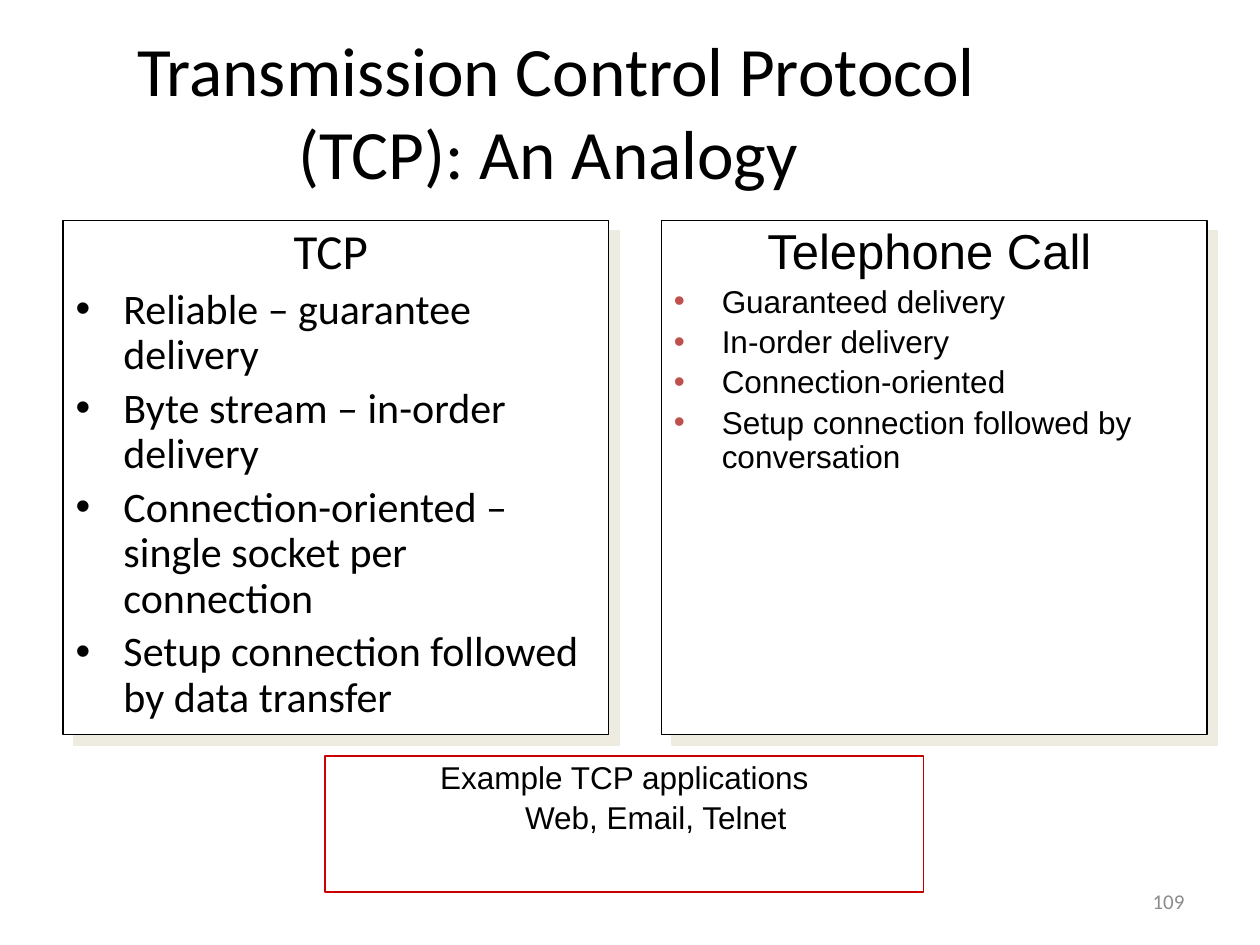
from lxml import etree
from pptx import Presentation
from pptx.dml.color import RGBColor
from pptx.enum.shapes import MSO_SHAPE
from pptx.enum.text import MSO_ANCHOR, MSO_AUTO_SIZE, PP_ALIGN
from pptx.oxml.ns import qn
from pptx.util import Inches, Pt

RECTANGLE = MSO_SHAPE.RECTANGLE
TOP, MIDDLE = MSO_ANCHOR.TOP, MSO_ANCHOR.MIDDLE
NO_AUTOFIT = MSO_AUTO_SIZE.NONE
LEFT, CENTER, RIGHT = PP_ALIGN.LEFT, PP_ALIGN.CENTER, PP_ALIGN.RIGHT

BLACK = "000000"
COLUMN_LEFTS = (0.5, 5.25)
COLUMN_TOP = 1.75
TCP_POINTS = (
    "Reliable – guarantee delivery",
    "Byte stream – in-order delivery",
    "Connection-oriented – single socket per connection",
    "Setup connection followed by data transfer",
)
CALL_POINTS = (
    "Guaranteed delivery",
    "In-order delivery",
    "Connection-oriented",
    "Setup connection followed by conversation",
)


def color(value):
    return RGBColor.from_string(value)


def place(shape, left, top, width, height):
    shape.left, shape.top = Inches(left), Inches(top)
    shape.width, shape.height = Inches(width), Inches(height)


def prepare_text(shape, anchor=TOP):
    frame = shape.text_frame
    frame.word_wrap = True
    frame.auto_size = NO_AUTOFIT
    frame.vertical_anchor = anchor
    return frame


def add_run(paragraph, text, size, font, value=BLACK):
    run = paragraph.add_run()
    run.text = text
    run.font.size = Pt(size)
    run.font.name = font
    run.font.color.rgb = color(value)


def set_bullet(properties, value):
    if value is None:
        etree.SubElement(properties, qn("a:buNone"))
        return
    bullet_color = etree.SubElement(properties, qn("a:buClr"))
    etree.SubElement(bullet_color, qn("a:srgbClr"), val=value)
    etree.SubElement(properties, qn("a:buFont"), typeface="Arial")
    etree.SubElement(properties, qn("a:buChar"), char="•")


def add_item(frame, text, size, font, alignment=LEFT, bullet=None, margin=0.38, indent=-0.38):
    first = frame.paragraphs[0]
    paragraph = frame.add_paragraph() if first.runs else first
    paragraph.alignment = alignment
    paragraph.line_spacing = 0.9
    paragraph.space_before = Pt(size * 0.2)
    properties = paragraph._p.get_or_add_pPr()
    properties.set("marL", str(Inches(margin)))
    properties.set("indent", str(Inches(indent)))
    set_bullet(properties, bullet)
    add_run(paragraph, text, size, font)
    return paragraph


def fill_column(shape, left, heading, points, size, font, bullet):
    place(shape, left, COLUMN_TOP, 4.25, 5.17)
    frame = prepare_text(shape)
    add_item(frame, heading, 28, font, CENTER)
    for point in points:
        add_item(frame, point, size, font, bullet=bullet)


def add_box(slide, left, top, width, height, line):
    box = slide.shapes.add_shape(
        RECTANGLE, Inches(left), Inches(top), Inches(width), Inches(height))
    box.shadow.inherit = False
    box.fill.background()
    box.line.color.rgb = color(line)
    box.line.width = Pt(0.75)
    return box


def add_panel(slide, left):
    panel = add_box(slide, left, COLUMN_TOP, 4.33, 4.08, BLACK)
    panel.fill.solid()
    panel.fill.fore_color.rgb = color("FFFFFF")
    effects = panel._element.spPr.find(qn("a:effectLst"))
    shadow = etree.SubElement(
        effects, qn("a:outerShdw"), blurRad="0", dist=str(Pt(8.5)),
        dir=str(45 * 60000), algn="ctr", rotWithShape="0")
    etree.SubElement(shadow, qn("a:srgbClr"), val="EEECE1")
    slide.shapes._spTree.insert(2, panel._element)


def add_title(slide):
    title = slide.shapes.title
    place(title, 0.5, 0.25, 7.83, 1.25)
    paragraph = prepare_text(title, MIDDLE).paragraphs[0]
    paragraph.alignment = CENTER
    add_run(paragraph, "Transmission Control Protocol (TCP): An Analogy ", 39.6, "Calibri")


def add_examples(slide):
    box = add_box(slide, 2.58, 6, 4.75, 1.08, "CC0000")
    frame = prepare_text(box)
    add_item(frame, "Example TCP applications", 18, "Arial", CENTER)
    applications = add_item(
        frame, "Web, Email, Telnet", 18, "Arial", CENTER, margin=0.81, indent=-0.31)
    applications.level = 1


def add_page_number(slide):
    box = slide.shapes.add_textbox(Inches(7.17), Inches(6.95), Inches(2.33), Inches(0.4))
    paragraph = prepare_text(box, MIDDLE).paragraphs[0]
    paragraph.alignment = RIGHT
    add_run(paragraph, "109", 12, "Calibri", "8C8C8C")


def main():
    presentation = Presentation()
    presentation.slide_width, presentation.slide_height = Inches(10), Inches(7.5)
    slide = presentation.slides.add_slide(presentation.slide_layouts[1])
    for left in COLUMN_LEFTS:
        add_panel(slide, left)
    add_title(slide)
    tcp_left, call_left = COLUMN_LEFTS
    fill_column(slide.placeholders[1], tcp_left, "TCP", TCP_POINTS, 24, "Calibri", BLACK)
    call_box = slide.shapes.add_textbox(0, 0, 0, 0)
    fill_column(call_box, call_left, "Telephone Call", CALL_POINTS, 18, "Arial", "C0504D")
    add_examples(slide)
    add_page_number(slide)
    presentation.save("out.pptx")


if __name__ == "__main__":
    main()
